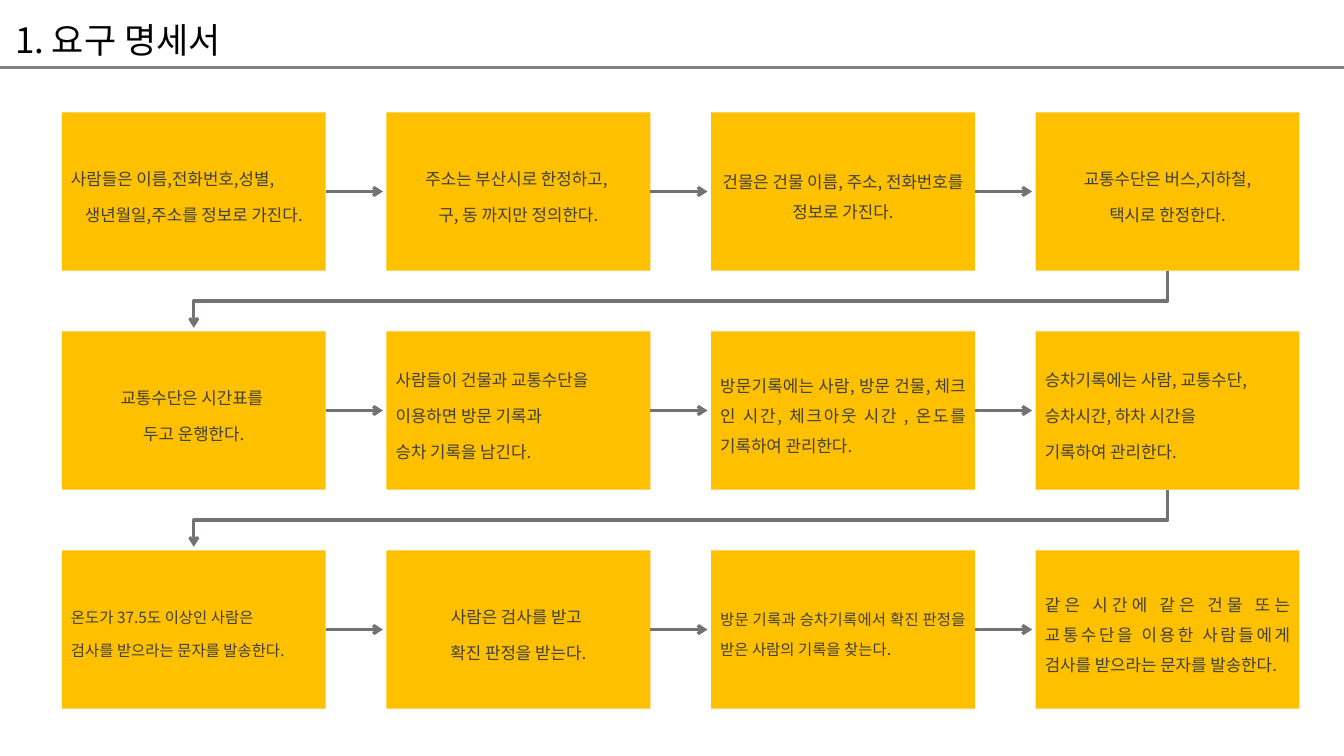
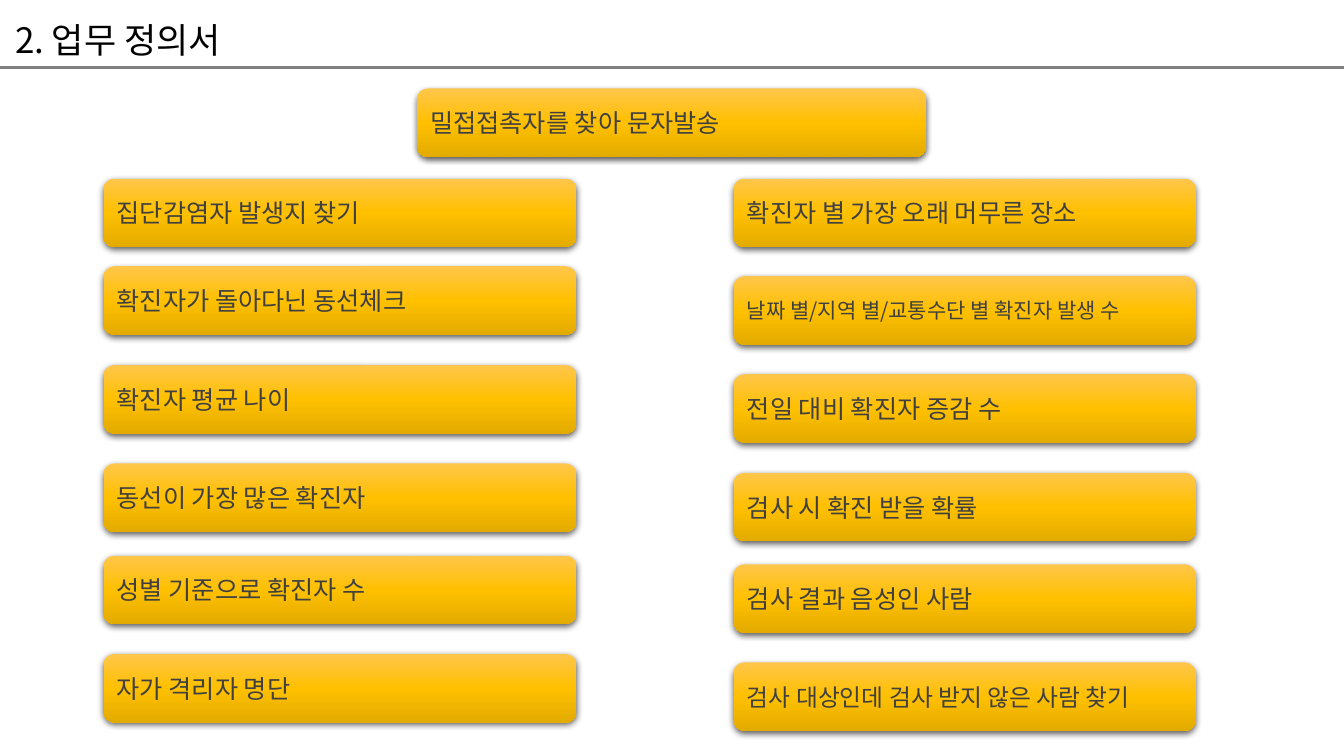
from copy import deepcopy
from dataclasses import dataclass

from lxml import etree
from pptx import Presentation
from pptx.dml.color import RGBColor
from pptx.enum.shapes import MSO_CONNECTOR, MSO_SHAPE
from pptx.enum.text import MSO_ANCHOR, PP_ALIGN
from pptx.oxml.ns import qn
from pptx.shapes.autoshape import Shape
from pptx.shapes.connector import Connector
from pptx.slide import Slide
from pptx.text.text import TextFrame, _Paragraph
from pptx.util import Cm, Pt

# Shared look
FONT = "Noto Sans CJK KR"
BLACK = RGBColor(0x00, 0x00, 0x00)
DARK = RGBColor(0x40, 0x40, 0x40)
GRAY = RGBColor(0x80, 0x80, 0x80)
ARROW = RGBColor(0x76, 0x71, 0x71)
GOLD = RGBColor(0xFF, 0xC0, 0x00)
LIGHT = RGBColor(0xFF, 0xC6, 0x4B)
DEEP = RGBColor(0xE3, 0xAB, 0x00)

LEFT, MID, JUST = PP_ALIGN.LEFT, PP_ALIGN.CENTER, PP_ALIGN.JUSTIFY
CENTER = MSO_ANCHOR.MIDDLE
RECT, ROUND = MSO_SHAPE.RECTANGLE, MSO_SHAPE.ROUNDED_RECTANGLE
LINE = MSO_CONNECTOR.STRAIGHT

WIDE, HIGH = 33.87, 19.05
THICK = Pt(2.25)

# Flow grid, in cm
COLS = 4
BOX_X, BOX_Y = 1.56, 2.83
BOX_W, BOX_H = 6.65, 3.99
STEP_X, STEP_Y = 8.18, 5.52
TIP = 0.09
INSET = 0.23

# Task bars, in cm
BAR_H = 1.73


@dataclass
class Step:
    lines: list[str]
    align: PP_ALIGN = MID
    size: int = 12
    first: PP_ALIGN | None = None
    end: str = ""


@dataclass
class Bar:
    top: float
    text: str
    size: int = 18


@dataclass
class Stack:
    left: float
    width: float
    bars: list[Bar]


STEPS = [
    Step(["사람들은 이름,전화번호,성별,", "생년월일,주소를 정보로 가진다."], first=JUST),
    Step(["주소는 부산시로 한정하고, ", "구, 동 까지만 정의한다."]),
    Step(["건물은 건물 이름, 주소, 전화번호를 정보로 가진다."]),
    Step(["교통수단은 버스,지하철,", "택시로 한정한다."]),
    Step(["교통수단은 시간표를 ", "두고 운행한다."]),
    Step(["사람들이 건물과 교통수단을 ", "이용하면 방문 기록과 ",
          "승차 기록을 남긴다."], JUST),
    Step(["방문기록에는 사람, 방문 건물, 체크 인 시간, 체크아웃 시간 , "
          "온도를 기록하여 관리한다."], JUST),
    Step(["승차기록에는 사람, 교통수단, ", "승차시간, 하차 시간을 ",
          "기록하여 관리한다."], JUST),
    Step(["온도가 37.5도 이상인 사람은 ", "검사를 받으라는 문자를 발송한다."], JUST, 11),
    Step(["사람은 검사를 받고 ", "확진 판정을 받는다."]),
    Step(["방문 기록과 승차기록에서 확진 판정을 받은 사람의 기록을 찾는다"],
         JUST, 11, end="."),
    Step(["같은 시간에 같은 건물 또는 교통수단을 이용한 사람들에게 "
          "검사를 받으라는 문자를 발송한다."], JUST),
]

STACKS = [
    Stack(10.51, 12.83, [Bar(2.23, "밀접접촉자를 찾아 문자발송")]),
    Stack(2.61, 11.92, [
        Bar(4.5, "집단감염자 발생지 찾기"),
        Bar(6.71, "확진자가 돌아다닌 동선체크"),
        Bar(9.2, "확진자 평균 나이"),
        Bar(11.68, "동선이 가장 많은 확진자"),
        Bar(14, "성별 기준으로 확진자 수"),
        Bar(16.48, "자가 격리자 명단"),
    ]),
    Stack(18.49, 11.64, [
        Bar(4.5, "확진자 별 가장 오래 머무른 장소"),
        Bar(6.96, "날짜 별/지역 별/교통수단 별 확진자 발생 수", 15),
        Bar(9.43, "전일 대비 확진자 증감 수"),
        Bar(11.91, "검사 시 확진 받을 확률"),
        Bar(14.22, "검사 결과 음성인 사람"),
        Bar(16.69, "검사 대상인데 검사 받지 않은 사람 찾기", 17),
    ]),
]


# Text
def style(para: _Paragraph, size: int, color: RGBColor, align: PP_ALIGN) -> None:
    para.alignment = align
    for run in para.runs:
        run.font.size = Pt(size)
        run.font.name = FONT
        run.font.color.rgb = color
        east = etree.SubElement(run.font._element, qn("a:ea"))
        east.set("typeface", FONT)


def fill_step(frame: TextFrame, step: Step) -> None:
    frame.margin_left = frame.margin_right = Cm(INSET)
    frame.margin_top = frame.margin_bottom = Cm(INSET)
    frame.text = "\n".join(step.lines)
    if step.end:
        frame.paragraphs[-1].add_run().text = step.end
    for para in frame.paragraphs:
        style(para, step.size, DARK, step.align)
        para.line_spacing = 1.5
        para.space_after = Pt(0.35 * step.size)
    if step.first is not None:
        frame.paragraphs[0].alignment = step.first
    if step.end:
        frame.paragraphs[-1].runs[-1].font.size = Pt(12)


# Shapes and lines
def block(slide: Slide, kind: MSO_SHAPE, x: float, y: float,
          w: float, h: float) -> Shape:
    shape = slide.shapes.add_shape(kind, Cm(x), Cm(y), Cm(w), Cm(h))
    shape.shadow.inherit = False
    shape.fill.solid()
    shape.fill.fore_color.rgb = GOLD
    shape.line.fill.background()
    shape.text_frame.word_wrap = True
    shape.text_frame.vertical_anchor = CENTER
    return shape


def rule(slide: Slide, x: float, y: float, end: float,
         color: RGBColor) -> Connector:
    line = slide.shapes.add_connector(LINE, Cm(x), Cm(y), Cm(end), Cm(y))
    line.line.color.rgb = color
    line.line.width = THICK
    etree.SubElement(line._element.spPr, qn("a:effectLst"))
    return line


def point(shape: Shape | Connector) -> None:
    tail = etree.SubElement(shape.line._get_or_add_ln(), qn("a:tailEnd"))
    tail.set("type", "arrow")


def bend(slide: Slide, y: float) -> None:
    """Lead from the last box of a row to the first box of the next."""
    home = BOX_X + BOX_W / 2
    far = home + (COLS - 1) * STEP_X
    gap = STEP_Y - BOX_H
    path = [(far, y + gap / 2), (home, y + gap / 2), (home, y + gap - TIP)]
    pen = slide.shapes.build_freeform(Cm(far), Cm(y))
    pen.add_line_segments([(Cm(a), Cm(b)) for a, b in path], close=False)
    shape = pen.convert_to_shape()
    shape.shadow.inherit = False
    shape.fill.background()
    shape.line.color.rgb = ARROW
    shape.line.width = THICK
    point(shape)


def gloss(shape: Shape) -> None:
    """Give a bar its gradient and soft shadow."""
    shape.fill.gradient()
    shape.fill.gradient_angle = 270
    last = shape._element.spPr.find(".//" + qn("a:gsLst"))[-1]
    last.addnext(deepcopy(last))
    stops = shape.fill.gradient_stops
    for stop, place, color in zip(stops, (0, 0.5, 1), (LIGHT, GOLD, DEEP)):
        stop.position = place
        stop.color.rgb = color
    glow = etree.SubElement(
        shape._element.spPr.find(qn("a:effectLst")), qn("a:outerShdw"),
        blurRad=str(Pt(4.5)), dist=str(Pt(1.5)), dir="5400000",
        algn="ctr", rotWithShape="0")
    tint = etree.SubElement(glow, qn("a:srgbClr"), val=str(BLACK))
    etree.SubElement(tint, qn("a:alpha"), val="63000")


# Slides
def start(deck: Presentation, title: str) -> Slide:
    slide = deck.slides.add_slide(deck.slide_layouts[6])
    rule(slide, 0, 1.71, WIDE, GRAY)
    box = slide.shapes.add_textbox(Cm(0.13), Cm(0.33), Cm(15.29), Cm(1.32))
    frame = box.text_frame
    frame.word_wrap = True
    frame.vertical_anchor = CENTER
    frame.text = title
    style(frame.paragraphs[0], 25, BLACK, LEFT)
    return slide


def draw_flow(slide: Slide) -> None:
    for i, step in enumerate(STEPS):
        row, col = divmod(i, COLS)
        x, y = BOX_X + col * STEP_X, BOX_Y + row * STEP_Y
        fill_step(block(slide, RECT, x, y, BOX_W, BOX_H).text_frame, step)
        if col < COLS - 1:
            point(rule(slide, x + BOX_W, y + BOX_H / 2,
                       x + STEP_X - TIP, ARROW))
        elif i < len(STEPS) - 1:
            bend(slide, y + BOX_H)


def draw_tasks(slide: Slide) -> None:
    for stack in STACKS:
        for bar in stack.bars:
            shape = block(slide, ROUND, stack.left, bar.top, stack.width, BAR_H)
            gloss(shape)
            shape.text_frame.text = bar.text
            style(shape.text_frame.paragraphs[0], bar.size, DARK, JUST)


deck = Presentation()
deck.slide_width, deck.slide_height = Cm(WIDE), Cm(HIGH)
draw_flow(start(deck, "1. 요구 명세서"))
draw_tasks(start(deck, "2. 업무 정의서"))
deck.save("out.pptx")
